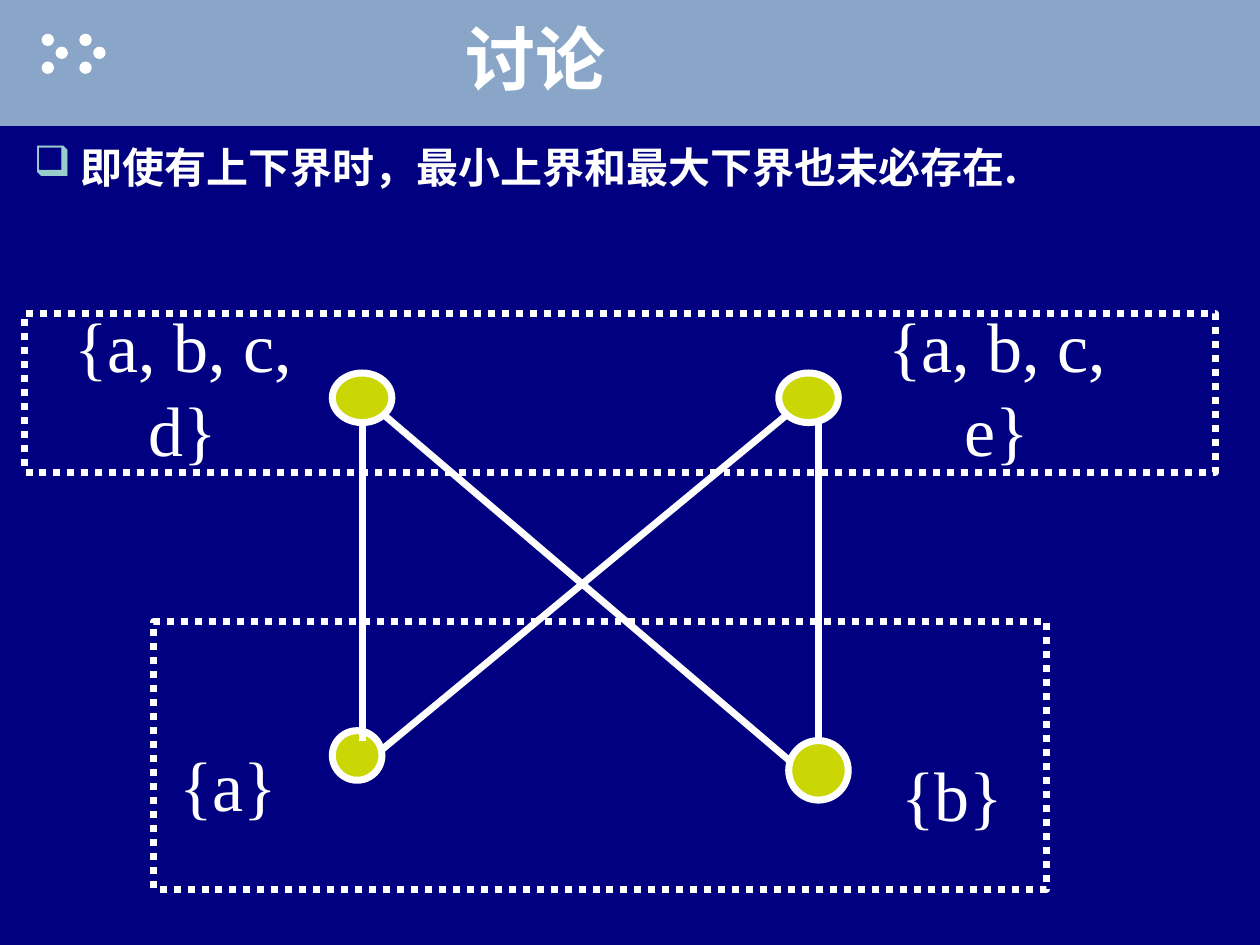
from typing import NamedTuple

from lxml.etree import SubElement
from pptx import Presentation
from pptx.dml.color import RGBColor
from pptx.enum.dml import MSO_LINE
from pptx.enum.shapes import MSO_CONNECTOR, MSO_SHAPE
from pptx.enum.text import MSO_ANCHOR, PP_ALIGN
from pptx.oxml.ns import qn
from pptx.util import Cm, Pt

NAVY = RGBColor(0x00, 0x00, 0x80)
BANNER = RGBColor(0x89, 0xA5, 0xC7)
WHITE = RGBColor(0xFF, 0xFF, 0xFF)
LIME = RGBColor(0xCA, 0xD7, 0x04)
SHADOW = "200018"
BULLET = "99CCCC"
HAN_FONT = "Noto Sans CJK SC"
LATIN_FONT = "Times New Roman"
LINE_WIDTH = Pt(4)


class Box(NamedTuple):
    left: float
    top: float
    width: float
    height: float


class Edge(NamedTuple):
    start_x: float
    start_y: float
    end_x: float
    end_y: float


class Label(NamedTuple):
    text: str
    box: Box


NODES = (
    Box(6.7, 14.73, 1, 1),
    Box(15.9, 14.93, 1.2, 1.2),
    Box(6.7, 7.52, 1.2, 1),
    Box(15.7, 7.52, 1.2, 1),
)
EDGES = (
    Edge(7.3, 8.53, 7.3, 14.93),
    Edge(7.7, 15.11, 15.9, 8.33),
    Edge(16.5, 8.53, 16.5, 14.93),
    Edge(7.7, 8.33, 15.9, 15.32),
)
LABELS = (
    Label("{a, b, c, d}", Box(0.69, 6.53, 6, 2.54)),
    Label("{a, b, c, e}", Box(17.1, 6.53, 6, 2.54)),
    Label("{a}", Box(3.1, 14.53, 3, 2.54)),
    Label("{b}", Box(17.7, 14.73, 3, 2.54)),
)
FRAMES = (Box(3.1, 12.53, 18, 5.4), Box(0.5, 6.32, 24, 3.2))


def add_shape(slide, kind, box: Box, fill=None, outline=None, dash=None):
    shape = slide.shapes.add_shape(kind, *map(Cm, box))
    shape.shadow.inherit = False
    if fill is None:
        shape.fill.background()
    else:
        shape.fill.solid()
        shape.fill.fore_color.rgb = fill
    if outline is None:
        shape.line.fill.background()
    else:
        shape.line.color.rgb = outline
        shape.line.width = LINE_WIDTH
        if dash is not None:
            shape.line.dash_style = dash
    return shape


def add_edge(slide, edge: Edge):
    connector = slide.shapes.add_connector(MSO_CONNECTOR.STRAIGHT, *map(Cm, edge))
    connector.line.color.rgb = WHITE
    connector.line.width = LINE_WIDTH
    SubElement(connector._element.spPr, qn("a:effectLst"))
    return connector


def add_bullet(paragraph, character: str, color: str, indent: float):
    properties = paragraph._p.get_or_add_pPr()
    properties.set("marL", str(Cm(indent)))
    properties.set("indent", str(-Cm(indent)))
    bullet_color = SubElement(properties, qn("a:buClr"))
    SubElement(bullet_color, qn("a:srgbClr"), val=color)
    SubElement(properties, qn("a:buChar"), char=character)


def add_text_shadow(run, color: str):
    effects = SubElement(run._r.get_or_add_rPr(), qn("a:effectLst"))
    shadow = SubElement(effects, qn("a:outerShdw"), dist="25400", dir="2700000")
    SubElement(shadow, qn("a:srgbClr"), val=color)


def add_text(slide, text: str, box: Box, *, size=40, font=LATIN_FONT, bold=False,
             align=PP_ALIGN.CENTER, anchor=MSO_ANCHOR.MIDDLE, wrap=False,
             bullet=False, shadow=False):
    text_box = slide.shapes.add_textbox(*map(Cm, box))
    frame = text_box.text_frame
    frame.word_wrap = wrap
    frame.vertical_anchor = anchor
    paragraph = frame.paragraphs[0]
    paragraph.alignment = align
    if bullet:
        add_bullet(paragraph, "❑", BULLET, 0.95)
    run = paragraph.add_run()
    run.text = text
    run.font.size = Pt(size)
    run.font.bold = bold
    run.font.color.rgb = WHITE
    if shadow:
        add_text_shadow(run, SHADOW)
    run.font.name = font
    SubElement(run._r.get_or_add_rPr(), qn("a:ea"), typeface=font)
    return text_box


def add_banner(slide):
    add_shape(slide, MSO_SHAPE.RECTANGLE, Box(0, 0, 25.4, 2.54), BANNER)
    for left in (0.84, 1.6):
        for shift, top in ((0, 0.68), (0.28, 0.94), (0, 1.24)):
            add_shape(slide, MSO_SHAPE.OVAL, Box(left + shift, top, 0.25, 0.25), WHITE)


def main():
    presentation = Presentation()
    presentation.slide_width = Cm(25.4)
    presentation.slide_height = Cm(19.05)
    slide = presentation.slides.add_slide(presentation.slide_layouts[6])
    slide.background.fill.solid()
    slide.background.fill.fore_color.rgb = NAVY

    add_banner(slide)
    add_text(slide, "讨论", Box(0, 0.18, 21.6, 1.96), font=HAN_FONT, bold=True,
             wrap=True, shadow=True)
    add_text(slide, "即使有上下界时，最小上界和最大下界也未必存在.",
             Box(0.43, 2.72, 24.56, 14.81), size=24, font=HAN_FONT, bold=True,
             align=PP_ALIGN.LEFT, anchor=MSO_ANCHOR.TOP, wrap=True, bullet=True)
    for node in NODES:
        add_shape(slide, MSO_SHAPE.OVAL, node, LIME, WHITE)
    for edge in EDGES:
        add_edge(slide, edge)
    for label in LABELS:
        add_text(slide, label.text, label.box)
    for frame in FRAMES:
        add_shape(slide, MSO_SHAPE.RECTANGLE, frame, outline=WHITE,
                  dash=MSO_LINE.ROUND_DOT)

    presentation.save("out.pptx")


if __name__ == "__main__":
    main()
